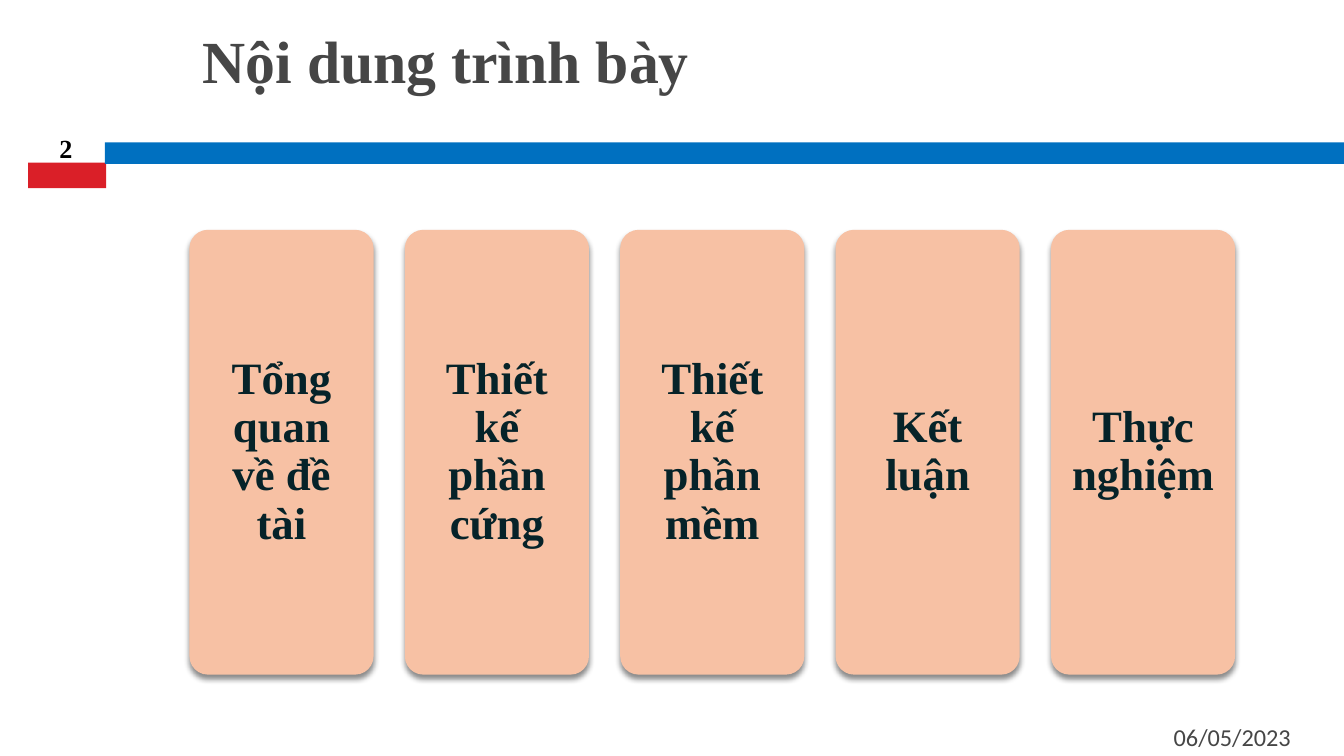
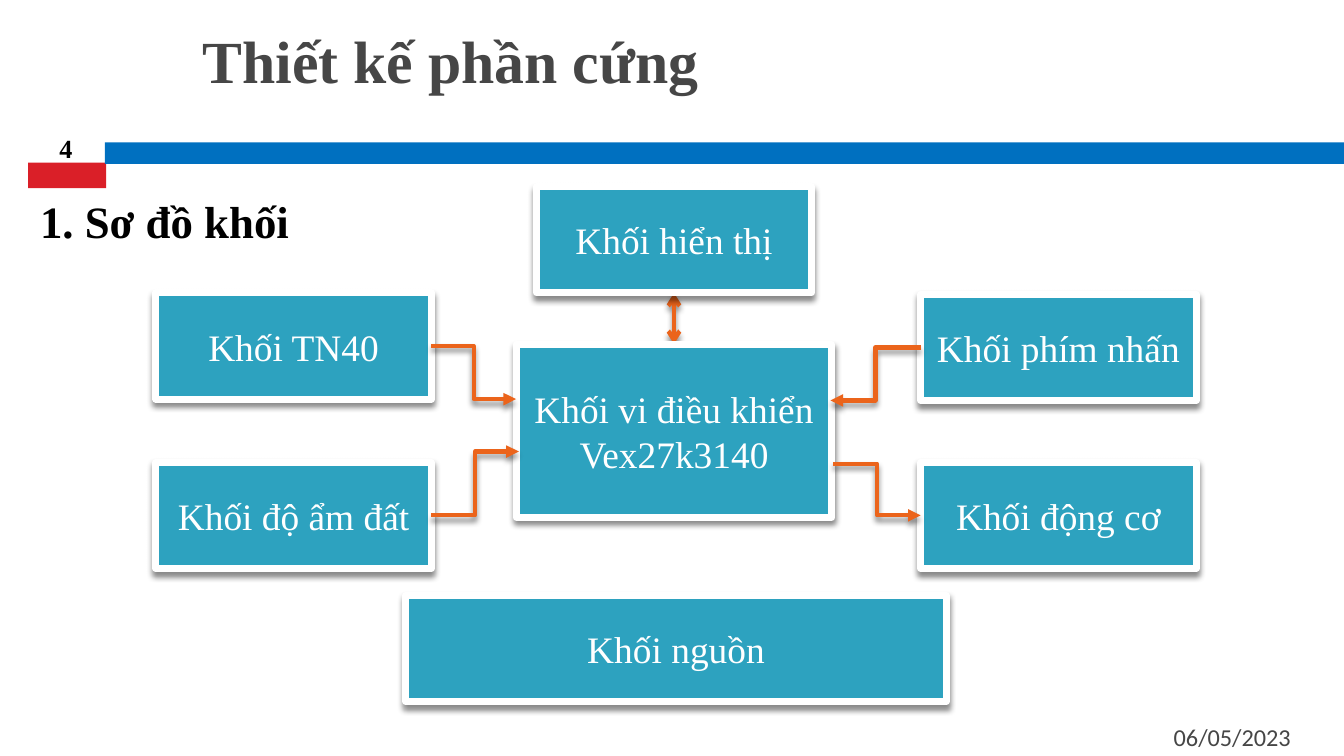
from dataclasses import dataclass

from lxml import etree
from pptx import Presentation
from pptx.dml.color import RGBColor
from pptx.enum.shapes import MSO_CONNECTOR, MSO_SHAPE
from pptx.enum.text import MSO_ANCHOR, PP_ALIGN
from pptx.oxml import parse_xml
from pptx.oxml.ns import nsdecls, qn
from pptx.util import Inches, Pt

RECT, ROUNDED = MSO_SHAPE.RECTANGLE, MSO_SHAPE.ROUNDED_RECTANGLE
STRAIGHT, ELBOW = MSO_CONNECTOR.STRAIGHT, MSO_CONNECTOR.ELBOW
LEFT, CENTER, RIGHT = PP_ALIGN.LEFT, PP_ALIGN.CENTER, PP_ALIGN.RIGHT
TOP, MIDDLE, BOTTOM = MSO_ANCHOR.TOP, MSO_ANCHOR.MIDDLE, MSO_ANCHOR.BOTTOM
SIDE_TOP, SIDE_LEFT, SIDE_BOTTOM, SIDE_RIGHT = range(4)


@dataclass(frozen=True)
class Theme:
    serif: str = "Times New Roman"
    sans: str = "Calibri"
    red: str = "DA1F28"
    blue: str = "0070C0"
    grey: str = "464646"
    black: str = "000000"
    white: str = "FFFFFF"
    peach: str = "F7C1A4"
    ink: str = "062329"
    teal: str = "2DA2BF"
    orange: str = "EB641B"
    title: int = 32
    heading: int = 24
    block: int = 20
    number: int = 14
    date: int = 13


T = Theme()


def put_text(sp, text, size, color, bold=False, align=LEFT, anchor=TOP, font=T.serif):
    tf = sp.text_frame
    tf.word_wrap = True
    tf.vertical_anchor = anchor
    p = tf.paragraphs[0]
    p.alignment = align
    r = p.add_run()
    r.text = text
    r.font.name, r.font.size, r.font.bold = font, Pt(size), bold
    r.font.color.rgb = RGBColor.from_string(color)
    return p


def add_shadow(sp):
    """Soft shadow straight below; call once fill and line are set."""
    sp._element.spPr.append(parse_xml(
        f'<a:effectLst {nsdecls("a")}>'
        f'<a:outerShdw blurRad="{Pt(3)}" dist="{Pt(2.4)}" dir="5400000" rotWithShape="0">'
        f'<a:srgbClr val="{T.black}"><a:alpha val="45000"/></a:srgbClr>'
        '</a:outerShdw></a:effectLst>'))


# 16:9 page
prs = Presentation()
prs.slide_width, prs.slide_height = Inches(10), Inches(10 * 9 / 16)

# Shared frame: bands, title, date, slide number
slides = []
for title, number in [("Nội dung trình bày", "2"), ("Thiết kế phần cứng", "4")]:
    s = prs.slides.add_slide(prs.slide_layouts[6])
    slides.append(s)
    for box, color in [((0.21, 1.21, 0.58, 0.19), T.red), ((0.78, 1.06, 9.23, 0.16), T.blue)]:
        sp = s.shapes.add_shape(RECT, *map(Inches, box))
        sp.shadow.inherit = False
        sp.fill.solid()
        sp.fill.fore_color.rgb = RGBColor.from_string(color)
        sp.line.fill.background()
    sp = s.shapes.add_textbox(*map(Inches, (1.41, 0.13, 8.44, 0.89)))
    put_text(sp, title, T.title, T.grey, bold=True)
    sp = s.shapes.add_textbox(*map(Inches, (6.78, 5.33, 2.92, 0.3)))
    put_text(sp, "06/05/2023", T.date, T.grey, align=RIGHT, anchor=MIDDLE, font=T.sans)
    sp = s.shapes.add_textbox(*map(Inches, (0.2, 0.92, 0.58, 0.35)))
    put_text(sp, number, T.number, T.black, bold=True, align=CENTER, anchor=BOTTOM)

agenda, diagram = slides

# Agenda: equal cards, evenly spread between the first and last left edge
topics = ["Tổng quan về đề tài", "Thiết kế phần cứng", "Thiết kế phần mềm",
          "Kết luận", "Thực nghiệm"]
pitch = (7.82 - 1.41) / (len(topics) - 1)
for i, topic in enumerate(topics):
    sp = agenda.shapes.add_shape(ROUNDED, Inches(1.41 + pitch * i), Inches(1.71),
                                 Inches(1.37), Inches(3.31))
    sp.adjustments[0] = 0.1
    sp.fill.solid()
    sp.fill.fore_color.rgb = RGBColor.from_string(T.peach)
    sp.line.fill.background()
    add_shadow(sp)
    p = put_text(sp, topic, T.heading, T.ink, bold=True, align=CENTER, anchor=MIDDLE)
    p.line_spacing = 0.9

# Block diagram: heading
sp = diagram.shapes.add_textbox(*map(Inches, (0.2, 1.39, 8.67, 0.5)))
put_text(sp, "1. Sơ đồ khối", T.heading, T.black, bold=True)

# The display link lies behind the blocks
display_link = diagram.shapes.add_connector(
    STRAIGHT, Inches(5.02), Inches(2.18), Inches(5.02), Inches(2.56))

# Blocks: left, top, width, height
blocks = {
    "controller": ("Khối vi điều khiển Vex27k3140", 3.84, 2.56, 2.35, 1.29),
    "sensor": ("Khối TN40", 1.16, 2.18, 2.05, 0.79),
    "display": ("Khối hiển thị", 3.99, 1.39, 2.05, 0.79),
    "moisture": ("Khối độ ẩm đất", 1.16, 3.44, 2.05, 0.79),
    "keys": ("Khối phím nhấn", 6.85, 2.19, 2.05, 0.79),
    "power": ("Khối nguồn", 3.02, 4.43, 4.02, 0.79),
    "motor": ("Khối động cơ", 6.85, 3.44, 2.05, 0.79),
}
shapes = {}
for name, (label, *box) in blocks.items():
    sp = diagram.shapes.add_shape(RECT, *map(Inches, box))
    sp.fill.solid()
    sp.fill.fore_color.rgb = RGBColor.from_string(T.teal)
    sp.line.color.rgb = RGBColor.from_string(T.white)
    sp.line.width = Pt(3.75)
    add_shadow(sp)
    put_text(sp, label, T.block, T.white, align=CENTER, anchor=MIDDLE)
    shapes[name] = sp

display_link.begin_connect(shapes["display"], SIDE_BOTTOM)
display_link.end_connect(shapes["controller"], SIDE_TOP)
links = [(display_link, {"headEnd": "arrow", "tailEnd": "arrow"})]

# Elbow links between the controller's sides and the outer blocks
for name, side, x1, y1, x2, y2 in [
    ("sensor", SIDE_RIGHT, 3.2, 2.57, 3.84, 2.97),
    ("motor", SIDE_LEFT, 6.2, 3.45, 6.85, 3.84),
    ("moisture", SIDE_RIGHT, 3.2, 3.84, 3.86, 3.36),
    ("keys", SIDE_LEFT, 6.85, 2.58, 6.18, 2.98),
]:
    cx = diagram.shapes.add_connector(ELBOW, *map(Inches, (x1, y1, x2, y2)))
    if name == "motor":
        cx.end_connect(shapes[name], side)
    else:
        cx.begin_connect(shapes[name], side)
    links.append((cx, {"tailEnd": "triangle"}))

# Line style and arrowheads
for cx, ends in links:
    cx.line.color.rgb = RGBColor.from_string(T.orange)
    cx.line.width = Pt(2.25)
    ln = cx._element.spPr.find(qn("a:ln"))
    for tag, kind in ends.items():
        etree.SubElement(ln, qn(f"a:{tag}"), type=kind)
    add_shadow(cx)

prs.save("out.pptx")
